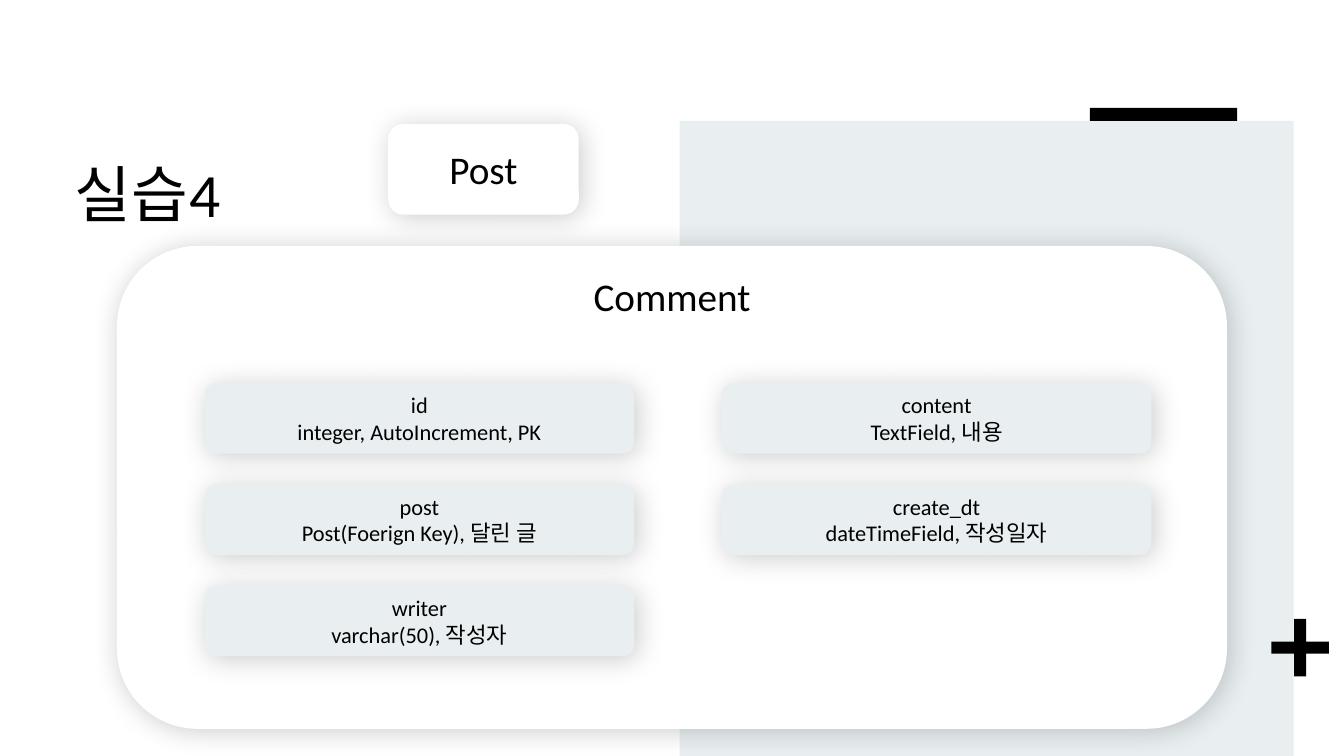
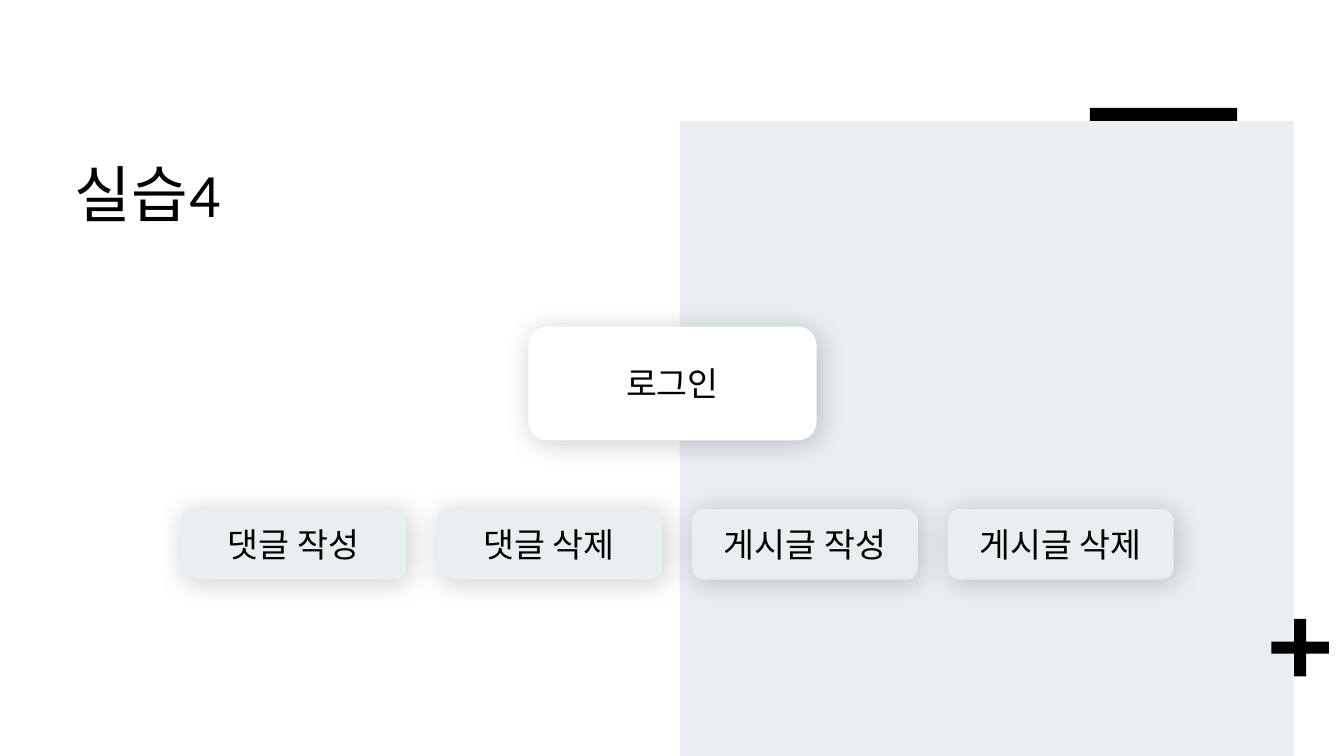
from dataclasses import dataclass
from typing import NamedTuple

from lxml import etree
from pptx import Presentation
from pptx.dml.color import RGBColor
from pptx.enum.shapes import MSO_SHAPE as Preset
from pptx.enum.text import MSO_ANCHOR as Anchor, MSO_AUTO_SIZE as AutoSize, PP_ALIGN as Align
from pptx.oxml.ns import qn
from pptx.util import Inches, Pt


@dataclass(frozen=True)
class Theme:
    font: str = "Calibri"
    ink: RGBColor = RGBColor(0x00, 0x00, 0x00)
    paper: RGBColor = RGBColor(0xFF, 0xFF, 0xFF)
    mist: RGBColor = RGBColor(0xE9, 0xEF, 0xF1)
    title: int = 44
    heading: int = 28
    button: int = 24
    field: int = 16
    title_tracking: int = 50
    title_leading: float = 1.14
    shadow_blur: int = 20
    shadow_distance: int = 3
    shadow_angle: int = 45
    shadow_opacity: int = 20


class Box(NamedTuple):
    """A rectangle in inches."""
    left: float
    top: float
    width: float
    height: float

    def inside(self, left, top, width, height):
        return Box(self.left + left, self.top + top, width, height)

    def emu(self):
        return [Inches(length) for length in self]


THEME = Theme()
PAGE = Box(0, 0, 13.33, 7.5)
TITLE_BOX = Box(0.62, 1.32, 9.04, 1.58)
TITLE = "실습4"

FIELDS = [
    "id\ninteger, AutoIncrement, PK",
    "post\nPost(Foerign Key), 달린 글",
    "writer\nvarchar(50), 작성자",
    "content\nTextField, 내용",
    "create_dt\ndateTimeField, 작성일자",
]
ACTIONS = ["댓글 작성", "댓글 삭제", "게시글 작성", "게시글 삭제"]


def format_font(font, size):
    font.name = THEME.font
    font.size = Pt(size)
    font.color.rgb = THEME.ink


def add_shape(page, preset, box, color):
    shape = page.shapes.add_shape(preset, *box.emu())
    shape.shadow.inherit = False
    shape.fill.solid()
    shape.fill.fore_color.rgb = color
    shape.line.fill.background()
    return shape


def add_soft_shadow(shape):
    effects = shape.element.spPr.find(qn("a:effectLst"))
    shadow = etree.SubElement(
        effects, qn("a:outerShdw"),
        blurRad=str(Pt(THEME.shadow_blur)), dist=str(Pt(THEME.shadow_distance)),
        dir=str(THEME.shadow_angle * 60000), algn="ctr", rotWithShape="0")
    color = etree.SubElement(shadow, qn("a:srgbClr"), val=str(THEME.ink))
    etree.SubElement(color, qn("a:alpha"), val=str(THEME.shadow_opacity * 1000))


def add_card(page, box, text, size, color):
    """Add a rounded card with a soft shadow and centred text."""
    card = add_shape(page, Preset.ROUNDED_RECTANGLE, box, color)
    add_soft_shadow(card)
    frame = card.text_frame
    frame.word_wrap = True
    frame.vertical_anchor = Anchor.MIDDLE
    frame.text = text
    for para in frame.paragraphs:
        para.alignment = Align.CENTER
        for span in para.runs:
            format_font(span.font, size)
    return card


def grid(area, columns, rows, width, height):
    """List equally spaced cells that fill the area, column by column."""
    step_x = (area.width - width) / max(columns - 1, 1)
    step_y = (area.height - height) / max(rows - 1, 1)
    return [area.inside(column * step_x, row * step_y, width, height)
            for column in range(columns) for row in range(rows)]


def move_to_layout(shapes, layout):
    for shape in shapes:
        layout.shapes.element.append(shape.element)


def decorate_layout(page, box):
    """Give the page's layout the side panel, plus sign and bar."""
    parts = [
        (Preset.RECTANGLE, box.inside(6.74, 1.2, 6.09, 6.3), THEME.mist),
        (Preset.CROSS, box.inside(12.61, 6.14, 0.57, 0.57), THEME.ink),
        (Preset.RECTANGLE, box.inside(10.81, 1.07, 1.46, 0.13), THEME.ink),
    ]
    shapes = [add_shape(page, *part) for part in parts]
    shapes[1].adjustments[0] = 0.395
    move_to_layout(shapes, page.slide_layout)


def add_title(page, box, text):
    title = page.shapes.title
    title.left, title.top, title.width, title.height = box.emu()
    frame = title.text_frame
    frame.auto_size = AutoSize.NONE
    frame.word_wrap = True
    frame.vertical_anchor = Anchor.TOP
    frame.margin_left = frame.margin_top = frame.margin_right = Inches(0.12)
    frame.margin_bottom = Inches(0.1)
    frame.text = text
    para = frame.paragraphs[0]
    para.alignment = Align.LEFT
    para.line_spacing = THEME.title_leading
    span = para.runs[0]
    format_font(span.font, THEME.title)
    span.font.bold = False
    span.font.element.set("spc", str(THEME.title_tracking)) if hasattr(
        span.font, "element") else span.font._element.set("spc", str(THEME.title_tracking))


def add_page(deck):
    page = deck.slides.add_slide(deck.slide_layouts[5])
    add_title(page, TITLE_BOX, TITLE)
    return page


def add_model(page, box):
    """Add the Comment model card and its field cards."""
    model = add_card(page, box, "Comment", THEME.heading, THEME.paper)
    model.text_frame.vertical_anchor = Anchor.TOP
    model.text_frame.margin_top = Inches(0.03)
    cells = grid(box.inside(0.87, 1.36, 9.39, 2.71), 2, 3, 4.26, 0.7)
    for cell, text in zip(cells, FIELDS):
        add_card(page, cell, text, THEME.field, THEME.mist)


def add_login(page, box):
    """Add the login card above the row of actions."""
    add_card(page, box.inside(3.45, 0, 2.86, 1.13), "로그인", THEME.button, THEME.paper)
    cells = grid(box.inside(0, 1.81, box.width, 0.7), len(ACTIONS), 1, 2.24, 0.7)
    for cell, text in zip(cells, ACTIONS):
        add_card(page, cell, text, THEME.button, THEME.mist)


def main():
    deck = Presentation()
    deck.slide_width, deck.slide_height = Inches(PAGE.width), Inches(PAGE.height)

    model_page = add_page(deck)
    decorate_layout(model_page, PAGE)
    add_model(model_page, Box(1.16, 2.44, 11.01, 4.79))
    add_card(model_page, Box(3.85, 1.23, 1.89, 0.9), "Post", THEME.heading, THEME.paper)

    login_page = add_page(deck)
    add_login(login_page, Box(1.79, 3.24, 9.85, 2.51))

    deck.save("out.pptx")


if __name__ == "__main__":
    main()
